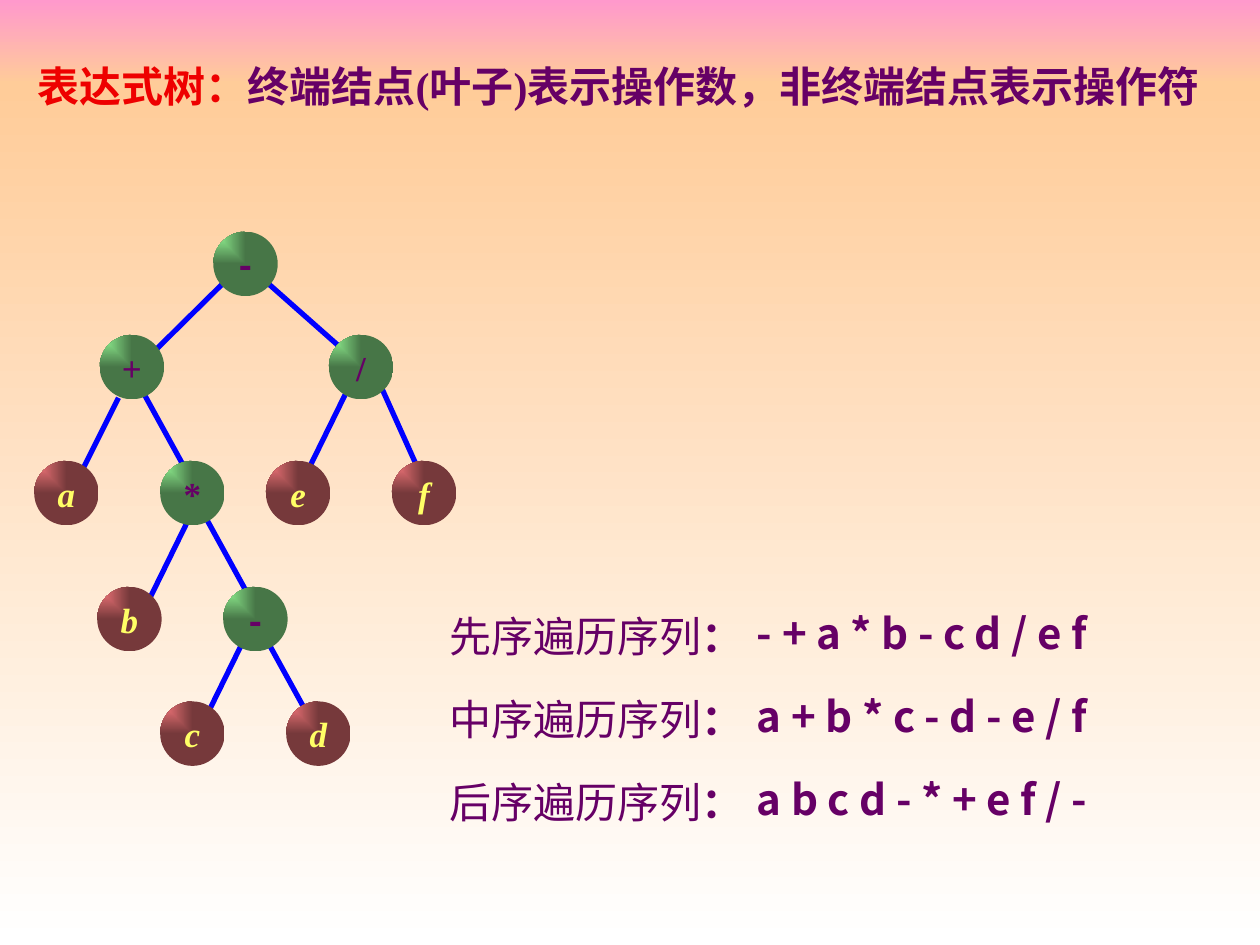
from pptx import Presentation
from pptx.dml.color import RGBColor
from pptx.enum.lang import MSO_LANGUAGE_ID as Lang
from pptx.enum.shapes import MSO_CONNECTOR as Connector, MSO_SHAPE as Shape
from pptx.enum.text import MSO_ANCHOR as Anchor, MSO_AUTO_SIZE as AutoSize, PP_ALIGN as Align
from pptx.oxml import parse_xml
from pptx.oxml.ns import nsdecls, qn
from pptx.util import Cm, Pt

COLORS = {
    "pink": "FF99CC", "peach": "FFCC99", "white": "FFFFFF",
    "red": "EE0000", "purple": "660066", "yellow": "FFFF66", "edge": "0000FF",
    "green": "99FF99", "dark green": "477647",
    "rose": "FF7C80", "dark rose": "76393B",
}
SERIF, SANS, MONO, CJK = "Times New Roman", "Arial", "Courier New", "Noto Sans CJK SC"
NODE_SIZE = 1.3

# (label, left, top, is leaf), in cm from the corner of the tree
NODES = [
    ("-", 3.61, 0, False),
    ("+", 1.32, 2.08, False), ("/", 5.94, 2.08, False),
    ("a", 0, 4.62, True), ("*", 2.54, 4.62, False),
    ("e", 4.67, 4.62, True), ("f", 7.21, 4.62, True),
    ("b", 1.27, 7.16, True), ("-", 3.81, 7.16, False),
    ("c", 2.54, 9.47, True), ("d", 5.08, 9.47, True),
]
# (parent x, parent y, child x, child y)
EDGES = [
    (4.04, 0.81, 2.34, 2.49), (4.45, 0.81, 6.35, 2.49),
    (1.7, 3.35, 0.86, 5.03), (2.13, 3.12, 3.18, 5.03),
    (6.35, 3.12, 5.51, 4.83), (6.99, 3.12, 7.85, 5.03),
    (3.18, 5.66, 2.34, 7.37), (3.4, 5.66, 4.45, 7.57),
    (4.24, 8.2, 3.4, 9.91), (4.67, 8.2, 5.72, 10.11),
]
TRAVERSALS = [
    ("先序遍历序列", "- + a * b - c d / e f"),
    ("中序遍历序列", "a + b * c - d - e / f"),
    ("后序遍历序列", "a b c d - * + e f / -"),
]


def rgb(color):
    return RGBColor.from_string(COLORS[color])


def add_run(paragraph, text, color, **formats):
    run = paragraph.add_run()
    run.text = text
    for name, value in formats.items():
        setattr(run.font, name, value)
    run.font.color.rgb = rgb(color)


def add_gradient_shape(slide, kind, box, colors, from_corner=False):
    """Add a shape shaded downwards, or outwards from its top left corner."""
    shape = slide.shapes.add_shape(kind, *map(Cm, box))
    shape.shadow.inherit = False
    shape.line.fill.background()
    shape.fill.gradient()
    shape.fill.gradient_angle = 270
    for stop, position, color in zip(shape.fill.gradient_stops, (0, 1), colors):
        stop.position = position
        stop.color.rgb = rgb(color)
    if from_corner:
        linear = shape.element.spPr.find(qn("a:gradFill")).find(qn("a:lin"))
        linear.getparent().replace(linear, parse_xml(
            f'<a:path {nsdecls("a")} path="rect"><a:fillToRect r="100000" b="100000"/></a:path>'))
    return shape


def add_text(slide, box, runs, wrap=False, anchor=Anchor.TOP):
    frame = slide.shapes.add_textbox(*map(Cm, box)).text_frame
    frame.word_wrap = wrap
    frame.auto_size = AutoSize.SHAPE_TO_FIT_TEXT
    frame.vertical_anchor = anchor
    for text, color, formats in runs:
        add_run(frame.paragraphs[0], text, color, size=Pt(24),
                language_id=Lang.SIMPLIFIED_CHINESE, **formats)


def add_background(slide, left, top, width, height):
    band = 1.7
    add_gradient_shape(slide, Shape.RECTANGLE, (left, top, width, band), ("pink", "peach"))
    add_gradient_shape(slide, Shape.RECTANGLE, (left, top + band, width, height - band),
                       ("peach", "white"))


def add_heading(slide, *box):
    bold_serif = {"name": SERIF, "bold": True}
    add_text(slide, box, [
        ("表达式树：", "red", bold_serif),
        ("终端结点(叶子)表示操作数，非终端结点表示操作符", "purple", bold_serif),
    ], wrap=True, anchor=Anchor.MIDDLE)


def add_traversals(slide, left, top, pitch):
    for row, (order, sequence) in enumerate(TRAVERSALS):
        y = top + row * pitch
        add_text(slide, (left, y, 6.45, 1.27), [
            (order, "purple", {"name": SANS}),
            ("：", "purple", {"name": SANS, "bold": True}),
        ])
        add_text(slide, (left + 6.2, y - 0.06, 9.5, 1.27),
                 [(sequence, "purple", {"name": CJK, "bold": True})])


def add_edge(slide, *ends):
    edge = slide.shapes.add_connector(Connector.STRAIGHT, *map(Cm, ends))
    edge.line.color.rgb = rgb("edge")
    edge.line.width = Pt(3)
    edge.element.spPr.append(parse_xml(f'<a:effectLst {nsdecls("a")}/>'))


def add_node(slide, left, top, label, is_leaf):
    hue = "rose" if is_leaf else "green"
    node = add_gradient_shape(slide, Shape.OVAL, (left, top, NODE_SIZE, NODE_SIZE),
                              (hue, f"dark {hue}"), from_corner=True)
    frame = node.text_frame
    frame.word_wrap = False
    frame.vertical_anchor = Anchor.MIDDLE
    paragraph = frame.paragraphs[0]
    paragraph.alignment = Align.CENTER
    add_run(paragraph, label, "yellow" if is_leaf else "purple", size=Pt(20), bold=True,
            italic=is_leaf, name=MONO if label == "-" else SERIF)


def add_tree(slide, left, top):
    for x1, y1, x2, y2 in EDGES:
        add_edge(slide, left + x1, top + y1, left + x2, top + y2)
    for label, x, y, is_leaf in NODES:
        add_node(slide, left + x, top + y, label, is_leaf)


def main():
    deck = Presentation()
    deck.slide_width, deck.slide_height = Cm(25.4), Cm(19.05)
    slide = deck.slides.add_slide(deck.slide_layouts[6])
    add_background(slide, 0, 0, 25.4, 19.05)
    add_heading(slide, 0.51, 1.09, 24.1, 1.27)
    add_traversals(slide, 8.81, 12.19, 1.67)
    add_tree(slide, 0.69, 4.67)
    deck.save("out.pptx")


if __name__ == "__main__":
    main()
